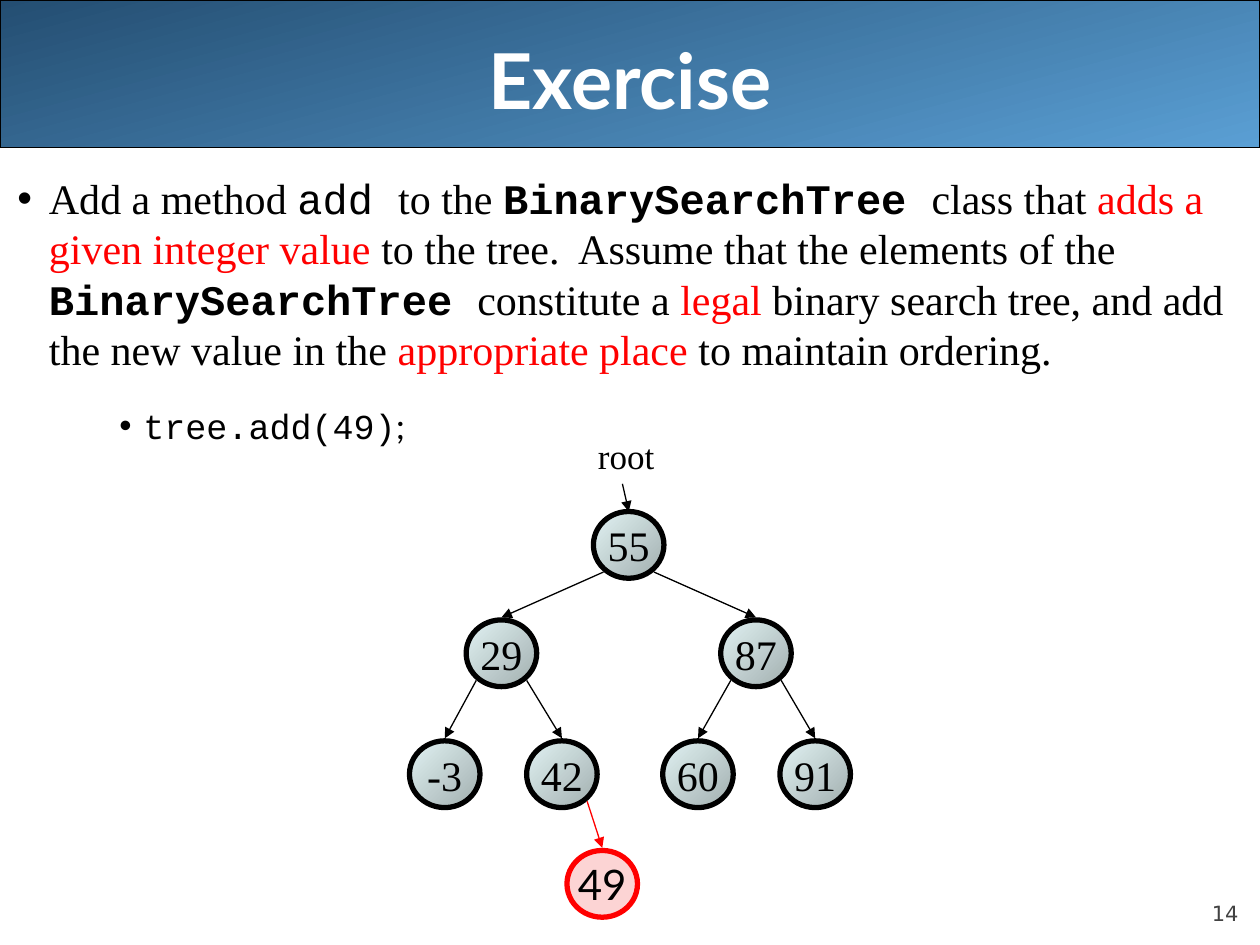
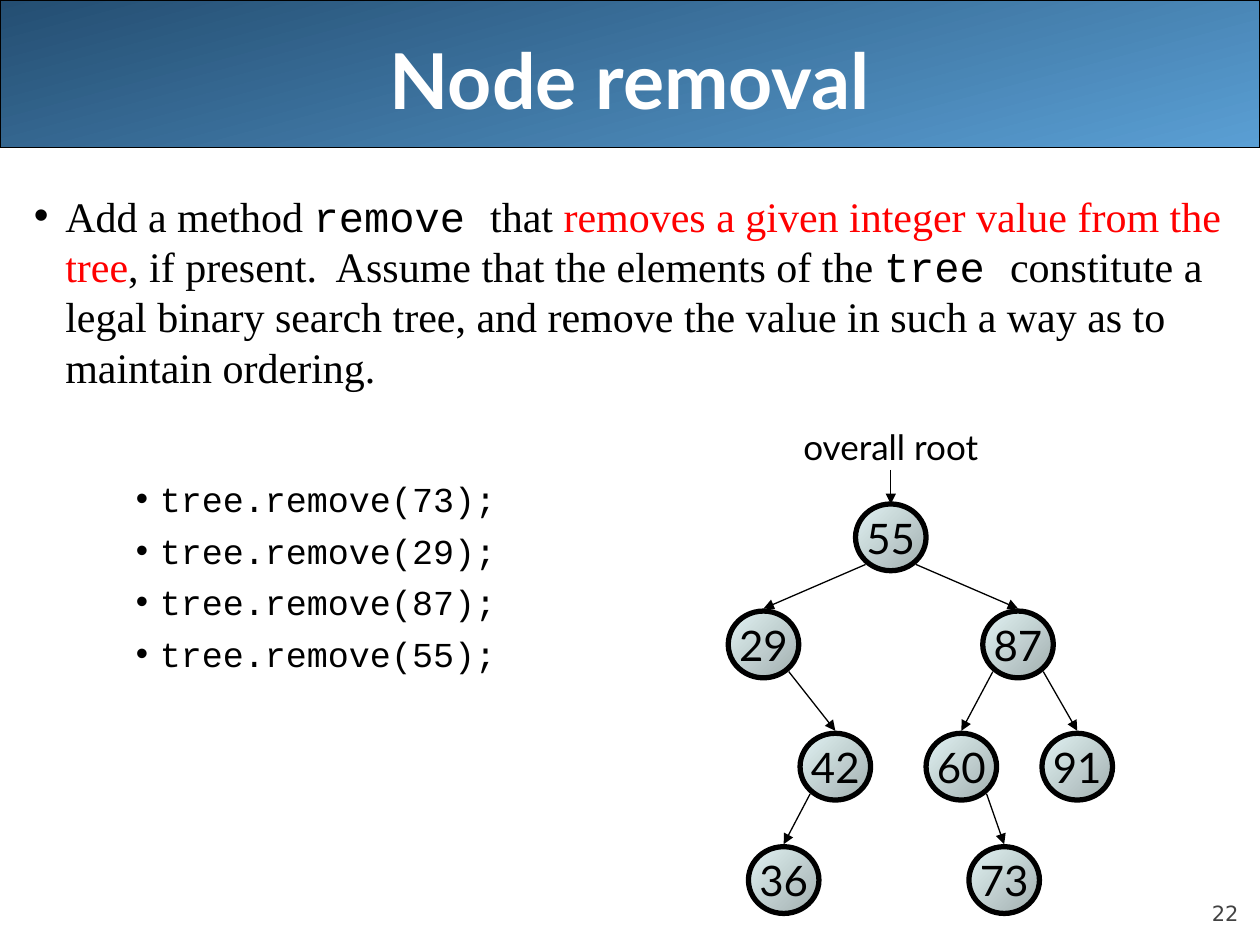
from dataclasses import dataclass
from typing import Optional

from lxml import etree
from pptx import Presentation
from pptx import util as u
from pptx.dml.color import RGBColor
from pptx.enum import shapes, text
from pptx.oxml import ns

Inches, Pt = u.Inches, u.Pt

COLOURS = {
    "ink": "000000",
    "title": "FFFFFF",
    "key": "FF0000",
    "new_fill": "FCD4D4",
    "number": "424242",
    "band_dark": "244E72",
    "band_light": "5A9FD4",
    "node_light": "E1F2F3",
    "node_dark": "A2AFAF",
}
SERIF, SANS, MONO, NUMBER_FONT = "Times New Roman", "Lato", "Courier New", "DejaVu Sans"

NODE_WIDTH, NODE_HEIGHT = 0.56, 0.53
EDGE_SPREAD, EDGE_DROP, EDGE_GAP = 0.2, 0.48, 0.02


@dataclass(frozen=True)
class Span:
    text: str
    font: str = SERIF
    colour: str = "ink"
    bold: bool = False


@dataclass(frozen=True)
class Bullet:
    spans: list[Span]
    level: int = 0
    size: float = 24
    before: float = 0


@dataclass(frozen=True)
class Node:
    value: str
    left: float
    row: int
    parent: Optional[str] = None
    is_new: bool = False


@dataclass(frozen=True)
class RootLabel:
    text: str
    left: float
    top: float
    width: float
    arrow_start: tuple[float, float]


@dataclass(frozen=True)
class Tree:
    row_tops: list[float]
    nodes: list[Node]
    label: RootLabel
    font: str


@dataclass(frozen=True)
class PageContent:
    title: str
    number: str
    body_left: float
    body_top: float
    bullets: list[Bullet]
    tree: Tree


def code_call(call: str, before: float = 5.5) -> Bullet:
    return Bullet([Span(call, MONO)], level=2, size=20, before=before)


PAGES = [
    PageContent(
        "Exercise", "14", 0.04, 1.32,
        [
            Bullet([
                Span("Add a method "),
                Span("add ", MONO),
                Span("to the "),
                Span("BinarySearchTree ", MONO, bold=True),
                Span("class that "),
                Span("adds a given integer value ", colour="key"),
                Span("to the tree.  Assume that the elements of the "),
                Span("BinarySearchTree ", MONO, bold=True),
                Span("constitute a "),
                Span("legal ", colour="key"),
                Span("binary search tree, and add the new value in the "),
                Span("appropriate place ", colour="key"),
                Span("to maintain ordering."),
            ]),
            Bullet([Span("tree.add(49)", MONO), Span(";", SANS)],
                   level=2, size=20, before=17.5),
        ],
        Tree(
            [4.06, 4.92, 5.88, 6.75],
            [
                Node("55", 4.71, 0),
                Node("29", 3.7, 1, "55"),
                Node("87", 5.72, 1, "55"),
                Node("-3", 3.25, 2, "29"),
                Node("42", 4.18, 2, "29"),
                Node("60", 5.26, 2, "87"),
                Node("91", 6.19, 2, "87"),
                Node("49", 4.5, 3, "42", is_new=True),
            ],
            RootLabel("root", 4.61, 3.4, 0.72, (4.94, 3.84)),
            SERIF,
        ),
    ),
    PageContent(
        "Node removal", "22", 0.17, 1.46,
        [
            Bullet([
                Span("Add a method "),
                Span("remove ", MONO),
                Span("that "),
                Span("removes a given integer value from the tree", colour="key"),
                Span(", if present.  Assume that the elements of the "),
                Span("tree ", MONO),
                Span("constitute a legal binary search tree, and remove the value "
                     "in such a way as to maintain ordering."),
            ]),
            code_call("tree.remove(73);", before=49),
            code_call("tree.remove(29);"),
            code_call("tree.remove(87);"),
            code_call("tree.remove(55);"),
        ],
        Tree(
            [4, 4.85, 5.82, 6.72],
            [
                Node("55", 6.79, 0),
                Node("29", 5.78, 1, "55"),
                Node("87", 7.8, 1, "55"),
                Node("42", 6.35, 2, "29"),
                Node("60", 7.35, 2, "87"),
                Node("91", 8.27, 2, "87"),
                Node("36", 5.94, 3, "42"),
                Node("73", 7.69, 3, "60"),
            ],
            RootLabel("overall root", 6.27, 3.33, 1.6, (7.07, 3.73)),
            SANS,
        ),
    ),
]


# Shared formatting
def rgb(name: str) -> RGBColor:
    return RGBColor.from_string(COLOURS[name])


def style_font(font, name: str, size: float, colour: str = "ink", bold: bool = False) -> None:
    font.name, font.size, font.bold = name, Pt(size), bold
    font.color.rgb = rgb(colour)


def style_line(line, colour: str, width: float) -> None:
    line.color.rgb = rgb(colour)
    line.width = Pt(width)


def fill_gradient(shape, start: str, end: str, clockwise: float) -> None:
    shape.fill.gradient()
    shape.fill.gradient_angle = 360 - clockwise
    for stop, colour in zip(shape.fill.gradient_stops, (start, end)):
        stop.color.rgb = rgb(colour)


def write_line(frame, words: str, font: str, size: float, colour: str = "ink",
               align=text.PP_ALIGN.CENTER, bold: bool = False) -> None:
    frame.text = words
    para = frame.paragraphs[0]
    para.alignment = align
    style_font(para.runs[0].font, font, size, colour, bold)


# Title band and slide number
def draw_frame(page, content: PageContent) -> None:
    band = page.shapes.add_shape(shapes.MSO_SHAPE.ROUNDED_RECTANGLE,
                                 0, 0, Inches(10), Inches(1.17))
    band.adjustments[0] = 0
    band.shadow.inherit = False
    fill_gradient(band, "band_dark", "band_light", 75)
    style_line(band.line, "ink", 0.75)

    title = page.shapes.title
    title.element.addprevious(band.element)
    title.left, title.top = Inches(0.5), Inches(0)
    title.width, title.height = Inches(9), Inches(1.25)
    title.text_frame.vertical_anchor = text.MSO_ANCHOR.MIDDLE
    write_line(title.text_frame, content.title, SANS, 44, "title", bold=True)

    box = page.shapes.add_textbox(Inches(9), Inches(6.95), Inches(0.83), Inches(0.4))
    frame = box.text_frame
    frame.word_wrap = True
    frame.margin_left = frame.margin_right = frame.margin_top = frame.margin_bottom = 0
    frame.vertical_anchor = text.MSO_ANCHOR.BOTTOM
    write_line(frame, content.number, NUMBER_FONT, 12, "number", text.PP_ALIGN.RIGHT)


# Bulleted text
def add_bullet_mark(para, level: int) -> None:
    margin, hanging = {0: (0.25, 0.25), 2: (1, 0.19)}[level]
    properties = para._p.get_or_add_pPr()
    properties.set("marL", str(Inches(margin)))
    properties.set("indent", str(-Inches(hanging)))
    etree.SubElement(properties, ns.qn("a:buFont")).set("typeface", "Arial")
    etree.SubElement(properties, ns.qn("a:buChar")).set("char", "•")


def draw_body(page, content: PageContent) -> None:
    box = page.shapes.add_textbox(Inches(content.body_left), Inches(content.body_top),
                                  Inches(9.83), Inches(5.6))
    frame = box.text_frame
    frame.word_wrap = True
    for index, bullet in enumerate(content.bullets):
        para = frame.add_paragraph() if index else frame.paragraphs[0]
        add_bullet_mark(para, bullet.level)
        para.level = bullet.level
        para.space_before = Pt(bullet.before)
        for span in bullet.spans:
            run = para.add_run()
            run.text = span.text
            style_font(run.font, span.font, bullet.size, span.colour, span.bold)


# Search tree
def draw_arrow(group, start: tuple[float, float], end: tuple[float, float],
               colour: str = "ink") -> None:
    points = [Inches(value) for value in (*start, *end)]
    arrow = group.shapes.add_connector(shapes.MSO_CONNECTOR.STRAIGHT, *points)
    style_line(arrow.line, colour, 0.75)
    etree.SubElement(arrow.line._get_or_add_ln(), ns.qn("a:tailEnd")).set("type", "triangle")
    etree.SubElement(arrow.element.spPr, ns.qn("a:effectLst"))


def draw_node(group, node: Node, top: float, font: str) -> None:
    circle = group.shapes.add_shape(shapes.MSO_SHAPE.OVAL, Inches(node.left), Inches(top),
                                    Inches(NODE_WIDTH), Inches(NODE_HEIGHT))
    circle.shadow.inherit = False
    if node.is_new:
        circle.fill.solid()
        circle.fill.fore_color.rgb = rgb("new_fill")
    else:
        fill_gradient(circle, "node_light", "node_dark", 45)
    style_line(circle.line, "key" if node.is_new else "ink", 3)
    frame = circle.text_frame
    frame.word_wrap = False
    frame.vertical_anchor = text.MSO_ANCHOR.MIDDLE
    write_line(frame, node.value, SANS if node.is_new else font, 24)


def draw_tree(page, tree: Tree) -> None:
    group = page.shapes.add_group_shape()
    by_value = {node.value: node for node in tree.nodes}
    for node in tree.nodes:
        top = tree.row_tops[node.row]
        draw_node(group, node, top, tree.font)
        centre = node.left + NODE_WIDTH / 2
        if node.parent is None:
            draw_arrow(group, tree.label.arrow_start, (centre, top))
            continue
        parent = by_value[node.parent]
        side = EDGE_SPREAD if node.left > parent.left else -EDGE_SPREAD
        start = (parent.left + NODE_WIDTH / 2 + side, tree.row_tops[parent.row] + EDGE_DROP)
        draw_arrow(group, start, (centre, top - EDGE_GAP), "key" if node.is_new else "ink")

    label = tree.label
    box = group.shapes.add_textbox(Inches(label.left), Inches(label.top),
                                   Inches(label.width), Inches(0.43))
    box.text_frame.word_wrap = False
    write_line(box.text_frame, label.text, tree.font, 20)


def main() -> None:
    deck = Presentation()
    deck.slide_width, deck.slide_height = Inches(10), Inches(7.5)
    for content in PAGES:
        page = deck.slides.add_slide(deck.slide_layouts[5])
        draw_frame(page, content)
        draw_body(page, content)
        draw_tree(page, content.tree)
    deck.save("out.pptx")


if __name__ == "__main__":
    main()
